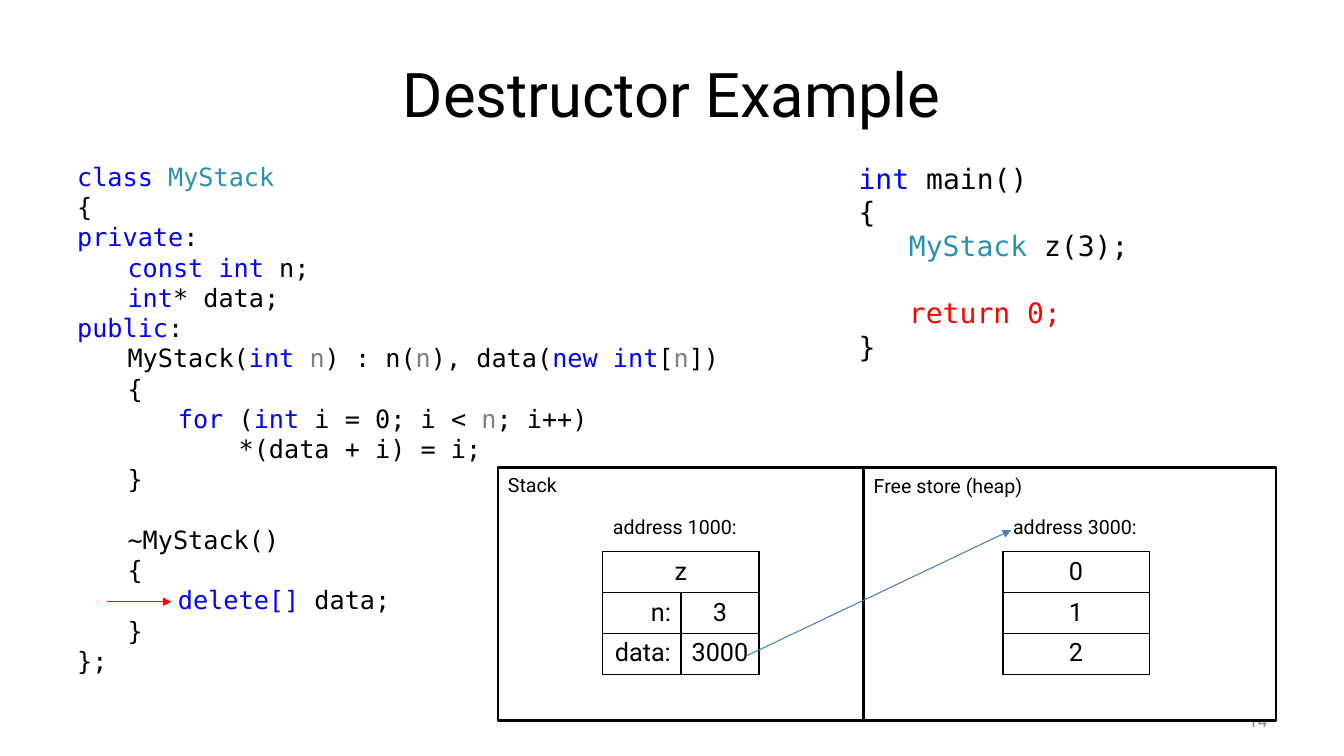
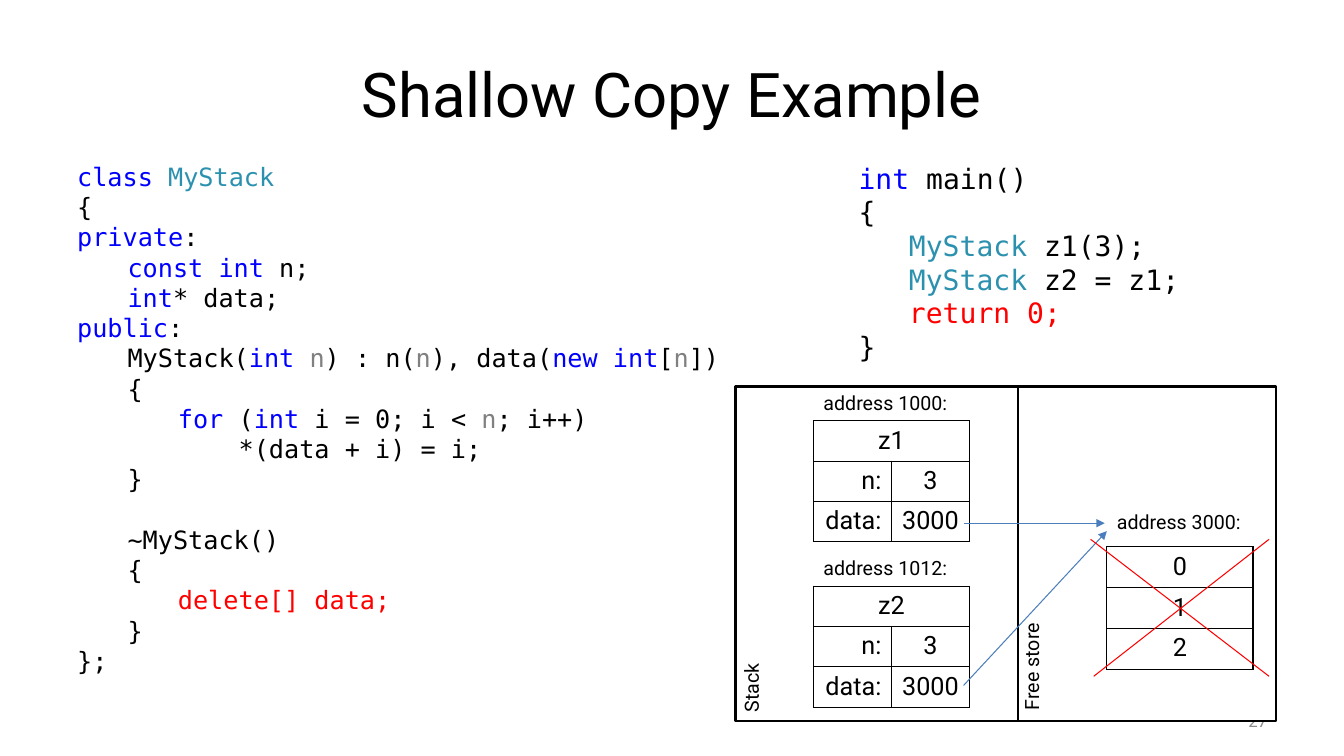
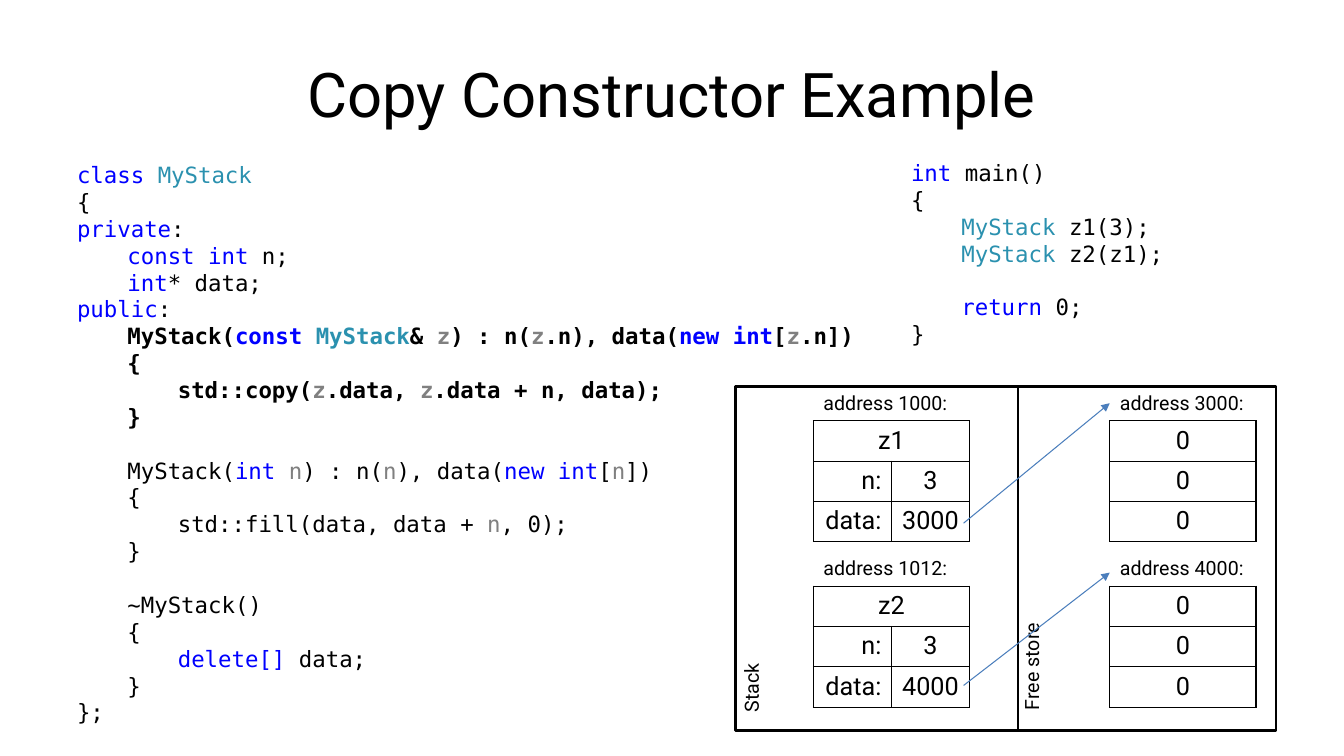
from pptx import Presentation
from pptx.dml.color import RGBColor
from pptx.enum.shapes import MSO_CONNECTOR, MSO_SHAPE
from pptx.enum.text import MSO_ANCHOR, PP_ALIGN
from pptx.oxml.ns import qn
from pptx.util import Pt
from lxml.etree import SubElement

COLORS = {
    "black": "000000", "white": "FFFFFF", "keyword": "0000FF", "type": "2B91AF",
    "parameter": "808080", "active": "FF0000", "pointer": "4B7EBC", "number": "8C8C8C",
}
MARKS = {"@": "keyword", "#": "type", "$": "parameter", "!": "active"}
SANS, MONO = "Roboto", "DejaVu Sans Mono"
LINE_PITCH = 1.2
INDENT = 36

MEMBERS = [
    (0, "@class @#MyStack#"),
    (0, "{"),
    (0, "@private@:"),
    (1, "@const int@ n;"),
    (1, "@int@* data;"),
    (0, "@public@:"),
]
CONSTRUCTOR_HEAD = [
    (1, "MyStack(@int @$n$) : n($n$), data(@new int@[$n$])"),
    (1, "{"),
]
LOOP_CONSTRUCTOR = CONSTRUCTOR_HEAD + [
    (2, "@for@ (@int@ i = 0; i < $n$; i++)"),
    (2, "    *(data + i) = i;"),
    (1, "}"),
    (0, ""),
]
FILL_CONSTRUCTOR = CONSTRUCTOR_HEAD + [
    (1, "\tstd::fill(data, data + $n$, 0);"),
    (1, "}"),
    (1, ""),
]
COPY_CONSTRUCTOR = [
    (1, "%MyStack(@const @#MyStack#& $z$) : n($z$.n), data(@new int@[$z$.n])"),
    (1, "%{"),
    (1, "%\tstd::copy($z$.data, $z$.data + n, data);"),
    (1, "%}"),
    (1, ""),
]


def destructor(statement):
    return [(1, "~MyStack()"), (1, "{"), (1, statement), (1, "}"), (0, "};")]


def main_code(*statements):
    return [(0, "@int@ main()"), (0, "{"), *((1, s) for s in statements), (0, "}")]


DELETE = "\t@delete[]@ data;"
CLASS_BOX, MAIN_BOX = (48, 111.6, 478, 378), (606.2, 111.6, 262, 152.6)
SIDE_LABELS = [("Stack", (499.7, 466.6, 74.2, 24.5), 270),
               ("Free store", (689.8, 455, 94.3, 24.5), 270)]
OBJECT_X, FIRST_Y, SECOND_Y = 581, 276.5, 394.6
BLOCK_X = 792.7
ROOMY, TIGHT = (29.2, 29.2), (24, 28.7)
OBJECT_WIDTHS, BLOCK_WIDTHS = (55.8, 55.8), (104.4,)


def object_table(x, y, heights, address, name, data):
    rows = [[f"address {address}:", ""], [name, ""], ["n:", "3"], ["data:", data]]
    return x, y, OBJECT_WIDTHS, heights, rows


def block_table(x, y, heights, address, values):
    return x, y, BLOCK_WIDTHS, heights, [[f"address {address}:"], *([v] for v in values)]


FIRST_OBJECT = object_table(OBJECT_X, FIRST_Y, TIGHT, "1000", "z1", "3000")

SLIDES = [
    {
        "title": "Destructor Example", "number": "14",
        "code": [
            (MEMBERS + LOOP_CONSTRUCTOR + destructor(DELETE), CLASS_BOX, 18),
            (main_code("#MyStack# z(3);", "", "!return 0;!"), MAIN_BOX, 20),
        ],
        "memory": (355.7, 617, 911.5, 334.1, 514.8),
        "labels": [("Stack", (355.7, 334.1, 94.3, 24.5), 0),
                   ("Free store (heap)", (617, 334.8, 149, 24.5), 0)],
        "tables": [
            object_table(430.6, 365, ROOMY, "1000", "z", "3000"),
            block_table(716.4, 365, ROOMY, "3000", "012"),
        ],
        "lines": [("pointer", (532.8, 468.7, 722.2, 378.7), True),
                  ("active", (76.3, 429.8, 122.4, 429.8), True)],
    },
    {
        "title": "Shallow Copy Example", "number": "27",
        "code": [
            (MEMBERS + LOOP_CONSTRUCTOR + destructor("\t!delete[] data;!"), CLASS_BOX, 18),
            (main_code("#MyStack# z1(3);", "#MyStack# z2 = z1;", "!return 0;!"), MAIN_BOX, 20),
        ],
        "memory": (525.6, 727.2, 911.5, 275.8, 515),
        "labels": SIDE_LABELS,
        "tables": [
            FIRST_OBJECT,
            object_table(OBJECT_X, SECOND_Y, TIGHT, "1012", "z2", "3000"),
            block_table(790.6, 361.4, ROOMY, "3000", "012"),
        ],
        "lines": [("pointer", (688.3, 373.7, 789.1, 373.7), True),
                  ("pointer", (688.3, 489.6, 790.6, 379.4), True),
                  ("active", (781.2, 483.1, 906.5, 385.2), False),
                  ("active", (906.5, 483.1, 779, 385.2), False)],
    },
    {
        "title": "Copy Constructor Example", "number": "41",
        "code": [
            (MEMBERS + COPY_CONSTRUCTOR + FILL_CONSTRUCTOR + destructor(DELETE),
             (48, 111.6, 595.4, 414.7), 16),
            (main_code("#MyStack# z1(3);", "#MyStack# z2(z1);", "", "@return@ 0;"),
             (643.7, 110.2, 268.6, 145.4), 16),
        ],
        "memory": (525.6, 727.2, 911.5, 275.8, 522),
        "labels": SIDE_LABELS,
        "tables": [
            FIRST_OBJECT,
            object_table(OBJECT_X, SECOND_Y, TIGHT, "1012", "z2", "4000"),
            block_table(BLOCK_X, FIRST_Y, TIGHT, "3000", "000"),
            block_table(BLOCK_X, SECOND_Y, TIGHT, "4000", "000"),
        ],
        "lines": [("pointer", (688.3, 373.7, BLOCK_X, 288), True),
                  ("pointer", (688.3, 489.6, BLOCK_X, 409), True)],
    },
]


def rgb(color):
    return RGBColor.from_string(COLORS[color])


def style(font, size, color="black", name=SANS, bold=False):
    font.size, font.name, font.bold = Pt(size), name, bold
    font.color.rgb = rgb(color)


def write(frame, text, size, color="black", align=PP_ALIGN.LEFT):
    frame.text = text
    paragraph = frame.paragraphs[0]
    paragraph.alignment = align
    for run in paragraph.runs:
        style(run.font, size, color)


def add_box(slide, box):
    label = slide.shapes.add_textbox(*map(Pt, box))
    label.text_frame.word_wrap = True
    return label


def set_title(slide, text):
    title = slide.shapes.title
    title.left, title.top, title.width, title.height = map(Pt, (48, 21.6, 864, 90))
    title.text_frame.vertical_anchor = MSO_ANCHOR.MIDDLE
    write(title.text_frame, text, 44, align=PP_ALIGN.CENTER)


def add_number(slide, number):
    frame = add_box(slide, (688.3, 500.4, 224, 28.8)).text_frame
    frame.vertical_anchor = MSO_ANCHOR.MIDDLE
    write(frame, number, 12, "number", PP_ALIGN.RIGHT)


def colored_pieces(text):
    color, piece = "black", ""
    for char in text:
        if char in MARKS:
            if piece:
                yield color, piece
            color, piece = ("black" if color == MARKS[char] else MARKS[char]), ""
        else:
            piece += char
    if piece:
        yield color, piece


def add_code(slide, code, box, size):
    frame = add_box(slide, box).text_frame
    for i, (level, text) in enumerate(code):
        line = frame.paragraphs[0] if i == 0 else frame.add_paragraph()
        line.level = level
        line.line_spacing = Pt(size * LINE_PITCH)
        line._p.get_or_add_pPr().set("marL", str(Pt(INDENT * level)))
        line.font.size = Pt(size)
        for color, piece in colored_pieces(text.lstrip("%")):
            run = line.add_run()
            run.text = piece
            style(run.font, size, color, MONO, text.startswith("%"))


def add_memory(slide, left, divider, right, top, bottom):
    for start, end in ((divider, right), (left, divider)):
        area = slide.shapes.add_shape(
            MSO_SHAPE.RECTANGLE, Pt(start), Pt(top), Pt(end - start), Pt(bottom - top))
        area.shadow.inherit = False
        area.fill.solid()
        area.fill.fore_color.rgb = rgb("white")
        area.line.color.rgb = rgb("black")
        area.line.width = Pt(2)


def set_borders(cell, visible):
    properties = cell._tc.get_or_add_tcPr()
    for position, side in enumerate(("lnL", "lnR", "lnT", "lnB")):
        border = properties.makeelement(qn(f"a:{side}"), {"w": str(Pt(1))})
        properties.insert(position, border)
        if side in visible:
            fill = SubElement(border, qn("a:solidFill"))
            SubElement(fill, qn("a:srgbClr"), val=COLORS["black"])
        else:
            SubElement(border, qn("a:noFill"))


def add_memory_table(slide, x, y, widths, heights, rows):
    head, body = heights
    row_heights = [head] + [body] * (len(rows) - 1)
    table = slide.shapes.add_table(
        len(rows), len(widths), Pt(x), Pt(y), Pt(sum(widths)), Pt(sum(row_heights))).table
    table.first_row = table.horz_banding = False
    for column, width in zip(table.columns, widths):
        column.width = Pt(width)
    for r, texts in enumerate(rows):
        table.rows[r].height = Pt(row_heights[r])
        for c, text in enumerate(texts):
            cell = table.cell(r, c)
            cell.fill.background()
            set_borders(cell, ("lnB",) if r == 0 else ("lnL", "lnR", "lnT", "lnB"))
            if r == 0:
                align = PP_ALIGN.LEFT
            else:
                align = PP_ALIGN.RIGHT if text.endswith(":") else PP_ALIGN.CENTER
            write(cell.text_frame, text, 14 if r == 0 else 18, align=align)
    if len(widths) > 1:
        for r in (0, 1):
            table.cell(r, 0).merge(table.cell(r, len(widths) - 1))


def add_line(slide, color, ends, arrow):
    connector = slide.shapes.add_connector(MSO_CONNECTOR.STRAIGHT, *map(Pt, ends))
    connector.line.color.rgb = rgb(color)
    connector.line.width = Pt(0.75)
    if arrow:
        SubElement(connector.line._get_or_add_ln(), qn("a:tailEnd"), type="triangle")
    SubElement(connector._element.spPr, qn("a:effectLst"))


def add_label(slide, text, box, rotation):
    label = add_box(slide, box)
    label.rotation = rotation
    write(label.text_frame, text, 14)


def main():
    deck = Presentation()
    deck.slide_width, deck.slide_height = Pt(960), Pt(540)
    for content in SLIDES:
        slide = deck.slides.add_slide(deck.slide_layouts[5])
        set_title(slide, content["title"])
        add_number(slide, content["number"])
        add_memory(slide, *content["memory"])
        for code in content["code"]:
            add_code(slide, *code)
        for table in content["tables"]:
            add_memory_table(slide, *table)
        for label in content["labels"]:
            add_label(slide, *label)
        for line in content["lines"]:
            add_line(slide, *line)
    deck.save("out.pptx")


if __name__ == "__main__":
    main()
